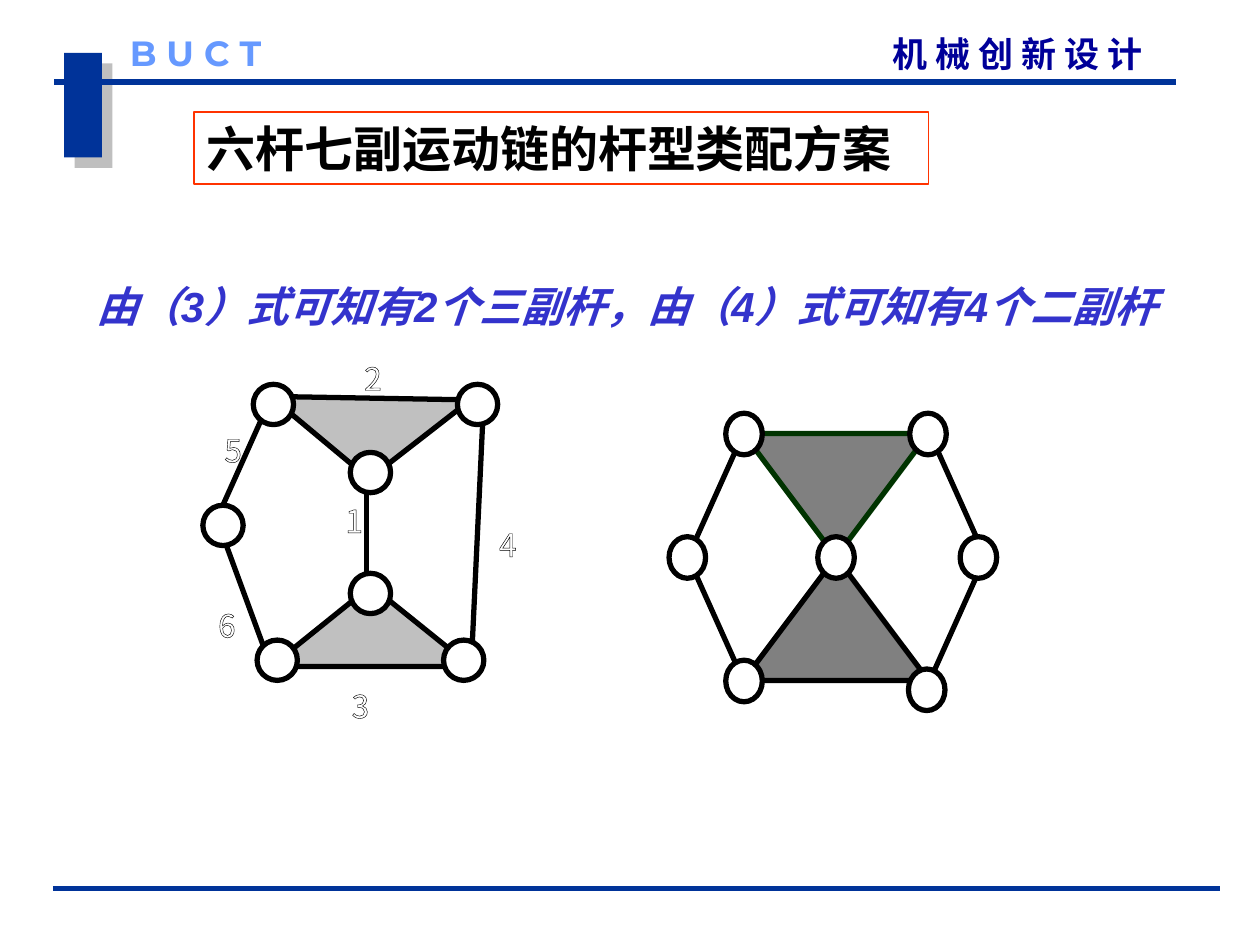
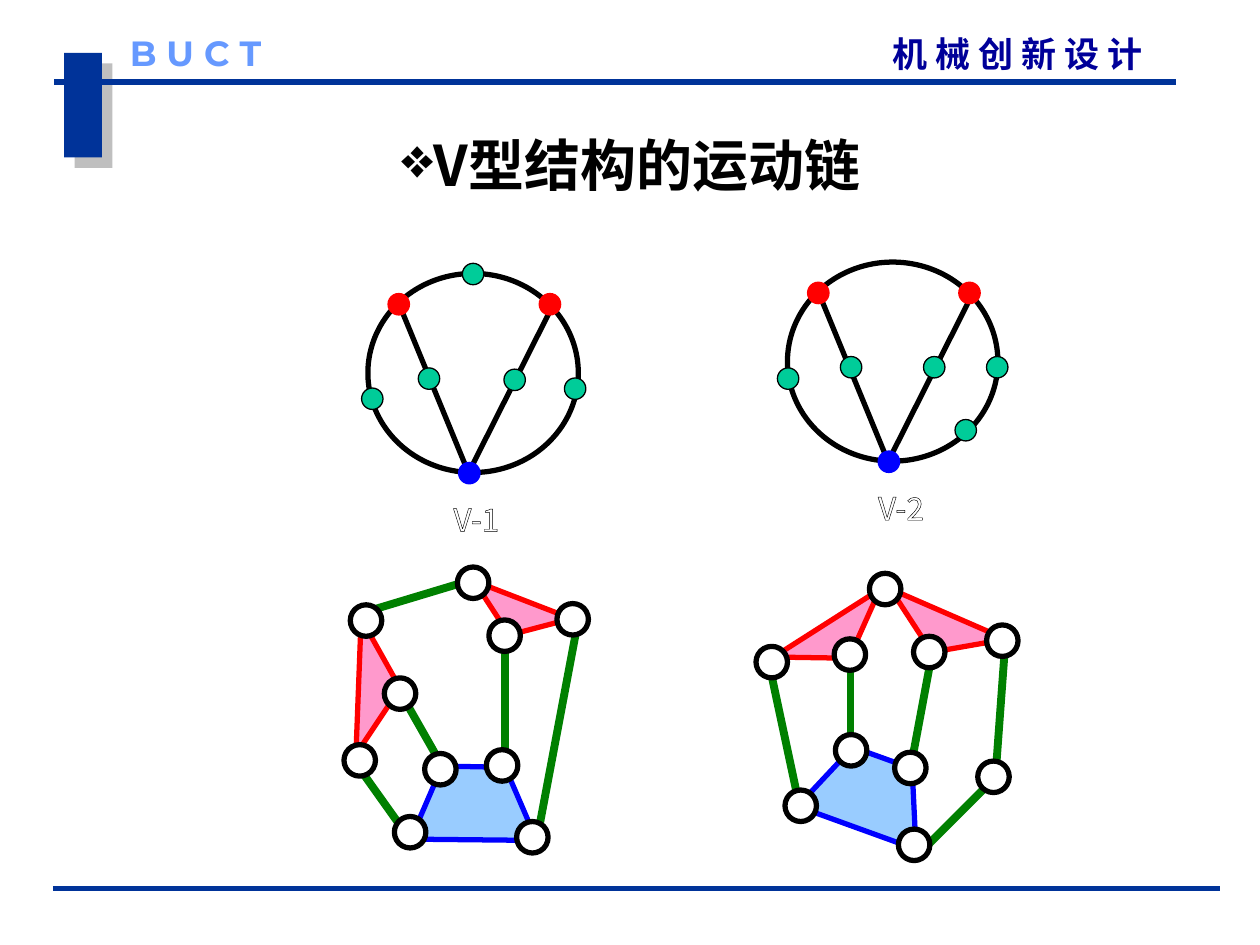
from dataclasses import dataclass

from lxml import etree
from pptx import Presentation
from pptx.dml.color import RGBColor
from pptx.enum.shapes import MSO_CONNECTOR, MSO_SHAPE
from pptx.enum.text import MSO_ANCHOR, MSO_AUTO_SIZE, PP_ALIGN
from pptx.oxml.ns import qn
from pptx.util import Inches, Pt

STRAIGHT = MSO_CONNECTOR.STRAIGHT
RECTANGLE, OVAL, TRIANGLE = MSO_SHAPE.RECTANGLE, MSO_SHAPE.OVAL, MSO_SHAPE.ISOSCELES_TRIANGLE
LEFT, CENTER, RIGHT = PP_ALIGN.LEFT, PP_ALIGN.CENTER, PP_ALIGN.RIGHT
TOP, MIDDLE = MSO_ANCHOR.TOP, MSO_ANCHOR.MIDDLE
NO_FIT = MSO_AUTO_SIZE.NONE

CJK, ARIAL, MONTSERRAT = "Noto Sans CJK SC", "Arial", "Montserrat"
NAVY, HEADER_BLUE, SKY = "003399", "000099", "6699FF"
BLACK, WHITE, INDIGO, ORANGE = "000000", "FFFFFF", "3333CC", "FF3300"
RED, BLUE, GREEN, TEAL = "FF0000", "0000FF", "008000", "00CC99"
PINK, PALE_BLUE, SILVER, GRAY, DARK_GREEN = "FF99CC", "99CCFF", "C0C0C0", "808080", "003300"

Point = tuple[float, float]
Box = tuple[float, float, float, float]


@dataclass(frozen=True)
class TextStyle:
    size: float
    font: str
    color: str
    bold: bool = True
    italic: bool = False
    align: object = LEFT
    anchor: object = TOP
    insets: Point = (0.1, 0.05)
    wrap: bool = True
    outlined: bool = False
    bullet: str = ""


@dataclass(frozen=True)
class Plate:
    """A link with three joints, drawn as a turned triangle."""
    box: Box
    fill: str
    line: str
    rotation: float = 0


@dataclass(frozen=True)
class Mechanism:
    plates: list[Plate]
    bars: list[tuple[Point, Point]]
    joints: list[Point]
    joint_size: Point
    bar_color: str = BLACK
    bar_width: float = 3
    quad: tuple[Point, ...] = ()


@dataclass(frozen=True)
class ChainGraph:
    offset: Point
    label: str
    label_at: Point
    binary_links: list[Point]


HEADER = TextStyle(20, CJK, HEADER_BLUE, align=RIGHT, insets=(0, 0))
SCHOOL = TextStyle(20, MONTSERRAT, SKY, insets=(0, 0))
BOXED_TITLE = TextStyle(28, ARIAL, BLACK, anchor=MIDDLE)
BULLET_TITLE = TextStyle(32, CJK, BLACK, align=CENTER, anchor=MIDDLE, insets=(0, 0), bullet="❖")
FINDING = TextStyle(24, ARIAL, INDIGO, italic=True)
LABEL = TextStyle(18, CJK, WHITE, bold=False, wrap=False, outlined=True)


# Drawing helpers
def rgb(color: str) -> RGBColor:
    return RGBColor.from_string(color)


def inches(values) -> list:
    return [Inches(value) for value in values]


def paint(shape, fill: str = "", line: str = "", width: float = 3) -> None:
    shape.shadow.inherit = False
    if fill:
        shape.fill.solid()
        shape.fill.fore_color.rgb = rgb(fill)
    else:
        shape.fill.background()
    if line:
        shape.line.color.rgb = rgb(line)
        shape.line.width = Pt(width)
    else:
        shape.line.fill.background()


def add_shape(slide, kind, box: Box, fill: str, line: str = "", width: float = 3):
    shape = slide.shapes.add_shape(kind, *inches(box))
    paint(shape, fill, line, width)
    return shape


def add_line(slide, start: Point, end: Point, color: str, width: float = 3) -> None:
    line = slide.shapes.add_connector(STRAIGHT, *inches((*start, *end)))
    line.line.color.rgb = rgb(color)
    line.line.width = Pt(width)
    etree.SubElement(line._element.spPr, qn("a:effectLst"))


def add_outline(span) -> None:
    outline = etree.Element(qn("a:ln"), w=str(Pt(0.75)))
    fill = etree.SubElement(outline, qn("a:solidFill"))
    etree.SubElement(fill, qn("a:srgbClr"), val=BLACK)
    span._r.get_or_add_rPr().insert(0, outline)


def add_bullet(para, symbol: str, color: str) -> None:
    properties = para._p.get_or_add_pPr()
    properties.set("marL", "0")
    properties.set("indent", "0")
    bullet_color = etree.SubElement(properties, qn("a:buClr"))
    etree.SubElement(bullet_color, qn("a:srgbClr"), val=color)
    etree.SubElement(properties, qn("a:buChar"), char=symbol)


def write(shape, text: str, style: TextStyle) -> None:
    frame = shape.text_frame
    frame.auto_size = NO_FIT
    frame.word_wrap = style.wrap
    frame.vertical_anchor = style.anchor
    frame.margin_left = frame.margin_right = Inches(style.insets[0])
    frame.margin_top = frame.margin_bottom = Inches(style.insets[1])
    para = frame.paragraphs[0]
    span = para.add_run()
    span.text = text
    para.alignment = style.align
    if style.bullet:
        add_bullet(para, style.bullet, style.color)
    if style.outlined:
        add_outline(span)
    font = para.font
    font.name, font.size = style.font, Pt(style.size)
    font.bold, font.italic = style.bold, style.italic
    font.color.rgb = rgb(style.color)


def add_text(slide, box: Box, text: str, style: TextStyle) -> None:
    write(slide.shapes.add_textbox(*inches(box)), text, style)


def set_title(slide, box: Box, text: str, style: TextStyle):
    title = slide.shapes.title
    title.left, title.top, title.width, title.height = inches(box)
    write(title, text, style)
    return title


# Parts shared by both slides
def add_page(deck):
    slide = deck.slides.add_slide(deck.slide_layouts[5])
    block = add_shape(slide, RECTANGLE, (0.51, 0.42, 0.3, 0.83), NAVY)
    effects = block._element.spPr.find(qn("a:effectLst"))
    shadow = etree.SubElement(effects, qn("a:outerShdw"), dist=str(Pt(8.5)), dir="2700000",
                              algn="ctr", rotWithShape="0")
    tint = etree.SubElement(shadow, qn("a:srgbClr"), val=GRAY)
    etree.SubElement(tint, qn("a:alpha"), val="50000")
    add_line(slide, (0.43, 0.65), (9.33, 0.65), NAVY)
    add_text(slide, (5.44, 0.26, 3.63, 0.33), "机 械 创 新 设 计", HEADER)
    add_line(slide, (0.42, 7.05), (9.68, 7.05), NAVY)
    add_text(slide, (1.03, 0.25, 1.42, 0.33), "B U C T", SCHOOL)
    return slide


def draw_mechanism(slide, mechanism: Mechanism) -> None:
    if mechanism.quad:
        first, *others = [tuple(inches(corner)) for corner in mechanism.quad]
        builder = slide.shapes.build_freeform(*first)
        builder.add_line_segments(others, close=True)
        paint(builder.convert_to_shape(), PALE_BLUE, BLUE)
    for plate in mechanism.plates:
        triangle = add_shape(slide, TRIANGLE, plate.box, plate.fill, plate.line)
        triangle.rotation = plate.rotation
    for start, end in mechanism.bars:
        add_line(slide, start, end, mechanism.bar_color, mechanism.bar_width)
    for joint in mechanism.joints:
        add_shape(slide, OVAL, (*joint, *mechanism.joint_size), WHITE, BLACK)


def draw_graph(slide, graph: ChainGraph) -> None:
    def moved(point: Point) -> Point:
        return point[0] + graph.offset[0], point[1] + graph.offset[1]

    def add_dot(corner: Point, fill: str, line: str) -> None:
        add_shape(slide, OVAL, (*corner, 0.17, 0.17), fill, line, 0.75)

    add_shape(slide, OVAL, (*moved((2.92, 2.17)), 1.67, 1.58), WHITE, BLACK)
    for start, end in [((3.17, 2.42), (3.75, 3.83)), ((4.39, 2.42), (3.72, 3.75))]:
        add_line(slide, moved(start), moved(end), BLACK)
    for corner, color in [((3.64, 3.67), BLUE), ((3.08, 2.33), RED), ((4.28, 2.33), RED)]:
        add_dot(moved(corner), color, color)
    for corner in graph.binary_links:
        add_dot(corner, TEAL, BLACK)
    add_text(slide, (*graph.label_at, 0.38, 0.25), graph.label, LABEL)


# Six-bar chains
SIX_BAR_CHAINS = [
    Mechanism(
        plates=[Plate((2.15, 4.65, 1.59, 0.64), SILVER, BLACK),
                Plate((2.14, 3.16, 1.59, 0.64), SILVER, BLACK, 181)],
        bars=[((2.91, 3.81), (2.91, 4.66)), ((3.84, 3.16), (3.74, 5.29)),
              ((2.15, 3.16), (1.72, 4.12)), ((1.72, 4.12), (2.15, 5.29))],
        joints=[(2.04, 5.08), (2.01, 3.05), (2.78, 4.55), (2.78, 3.59),
                (3.52, 5.08), (3.63, 3.05), (1.61, 4.01)],
        joint_size=(0.32, 0.32)),
    Mechanism(
        plates=[Plate((5.9, 4.42, 1.47, 0.98), GRAY, BLACK),
                Plate((5.9, 3.44, 1.47, 0.98), GRAY, DARK_GREEN, 180)],
        bars=[((inner, y), (outer, 4.42))
              for inner, outer in [(5.9, 5.46), (7.38, 7.82)] for y in (3.44, 5.4)],
        joints=[(7.22, 3.28), (6.49, 4.26), (5.76, 3.28), (5.31, 4.26),
                (5.76, 5.24), (7.21, 5.31), (7.62, 4.26)],
        joint_size=(0.29, 0.33)),
]
BAR_LABELS = {"5": (1.72, 3.37), "6": (1.67, 4.76), "1": (2.68, 3.93),
              "2": (2.83, 2.8), "3": (2.73, 5.4), "4": (3.9, 4.12)}

# V-type graphs and the chains they stand for
V_GRAPHS = [
    ChainGraph((0, 0), "V-1", (3.5, 3.92),
               [(3.67, 2.09), (4.48, 3), (4, 2.93), (3.32, 2.92), (2.87, 3.08)]),
    ChainGraph((3.33, -0.09), "V-2", (6.87, 3.83),
               [(7.58, 3.33), (7.83, 2.83), (7.33, 2.83), (6.17, 2.92), (6.67, 2.83)]),
]
V_CHAINS = [
    Mechanism(
        quad=((4.26, 6.67), (4.01, 6.09), (3.51, 6.08), (3.26, 6.66)),
        plates=[Plate((2.47, 5.29, 1.08, 0.33), PINK, RED, 92.2),
                Plate((3.68, 4.75, 0.83, 0.3), PINK, RED, 201.1)],
        bars=[((2.84, 6.08), (3.26, 6.67)), ((3.18, 5.5), (3.51, 6.08)),
              ((4.59, 4.92), (4.26, 6.67)), ((4.01, 5), (4.01, 6.08)),
              ((2.89, 4.86), (3.72, 4.61))],
        joints=[(3.86, 5.95), (3.13, 6.48), (3.37, 5.98), (2.73, 5.91), (3.05, 5.38),
                (3.88, 4.92), (4.42, 4.79), (3.63, 4.5), (2.78, 4.8), (4.1, 6.52)],
        joint_size=(0.25, 0.25), bar_color=GREEN, bar_width=4.5),
    Mechanism(
        quad=((7.27, 6.74), (7.24, 6.1), (6.77, 5.93), (6.33, 6.4)),
        plates=[Plate((6.15, 4.92, 1, 0.33), PINK, RED, 147.5),
                Plate((6.96, 4.86, 1, 0.33), PINK, RED, 203.5)],
        bars=[((6.1, 5.25), (6.35, 6.42)), ((7.9, 6.17), (7.32, 6.75)),
              ((7.4, 5.17), (7.23, 6.08)), ((7.98, 5.08), (7.9, 6.17)),
              ((6.75, 5.25), (6.75, 6))],
        joints=[(7.1, 5.97), (6, 5.13), (6.62, 5.07), (7.25, 5.05), (7.83, 4.96),
                (6.9, 4.55), (7.13, 6.58), (7.76, 6.04), (6.23, 6.27), (6.63, 5.83)],
        joint_size=(0.25, 0.25), bar_color=GREEN, bar_width=4.5),
]


def build_six_bar_slide(deck) -> None:
    slide = add_page(deck)
    title = set_title(slide, (1.54, 0.89, 5.83, 0.57), "六杆七副运动链的杆型类配方案", BOXED_TITLE)
    title.line.color.rgb = rgb(ORANGE)
    title.line.width = Pt(1)
    add_text(slide, (0.67, 2.18, 9.06, 0.9),
             "由（3）式可知有2个三副杆，由（4）式可知有4个二副杆", FINDING)
    for chain in SIX_BAR_CHAINS:
        draw_mechanism(slide, chain)
    for number, corner in BAR_LABELS.items():
        add_text(slide, (*corner, 0.16, 0.32), number, LABEL)


def build_v_type_slide(deck) -> None:
    slide = add_page(deck)
    set_title(slide, (0.51, 0.68, 9, 1.25), "V型结构的运动链", BULLET_TITLE)
    for graph in V_GRAPHS:
        draw_graph(slide, graph)
    for chain in V_CHAINS:
        draw_mechanism(slide, chain)


def main() -> None:
    deck = Presentation()
    deck.slide_width, deck.slide_height = Inches(10), Inches(7.5)
    build_six_bar_slide(deck)
    build_v_type_slide(deck)
    deck.save("out.pptx")


if __name__ == "__main__":
    main()
